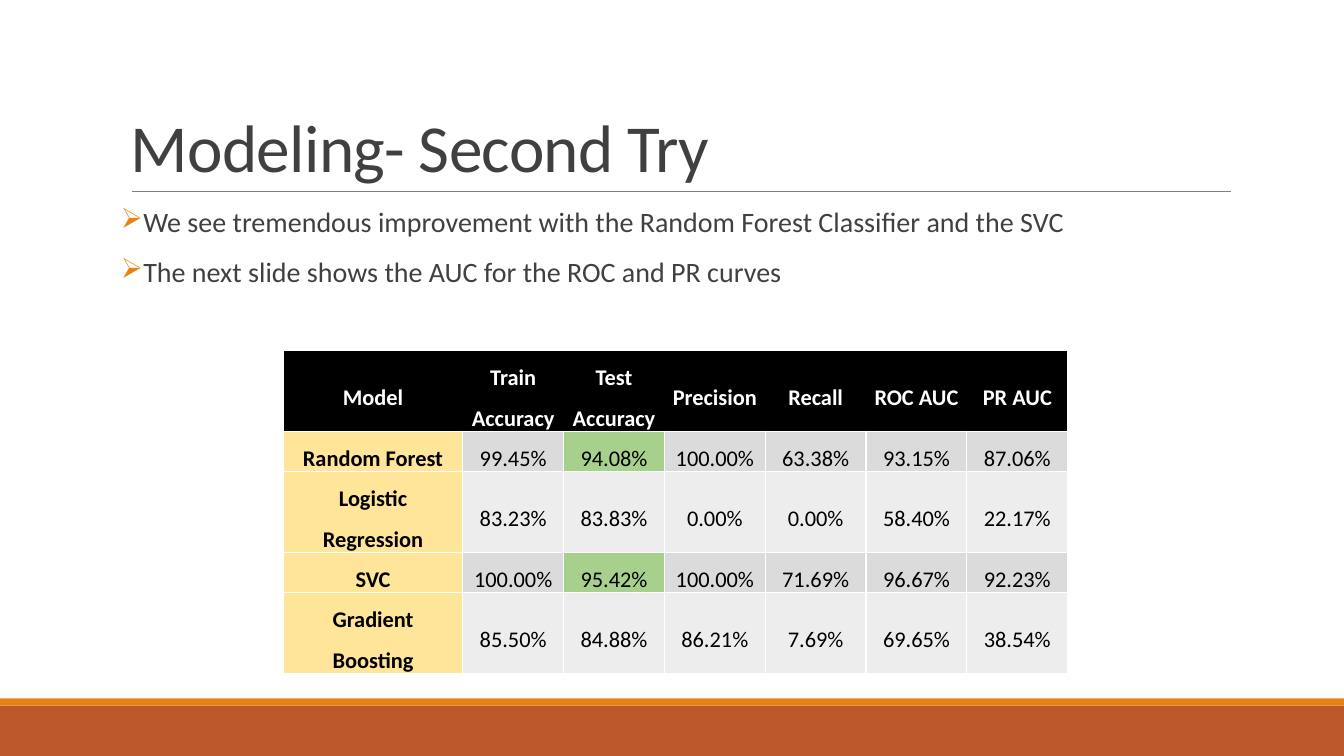
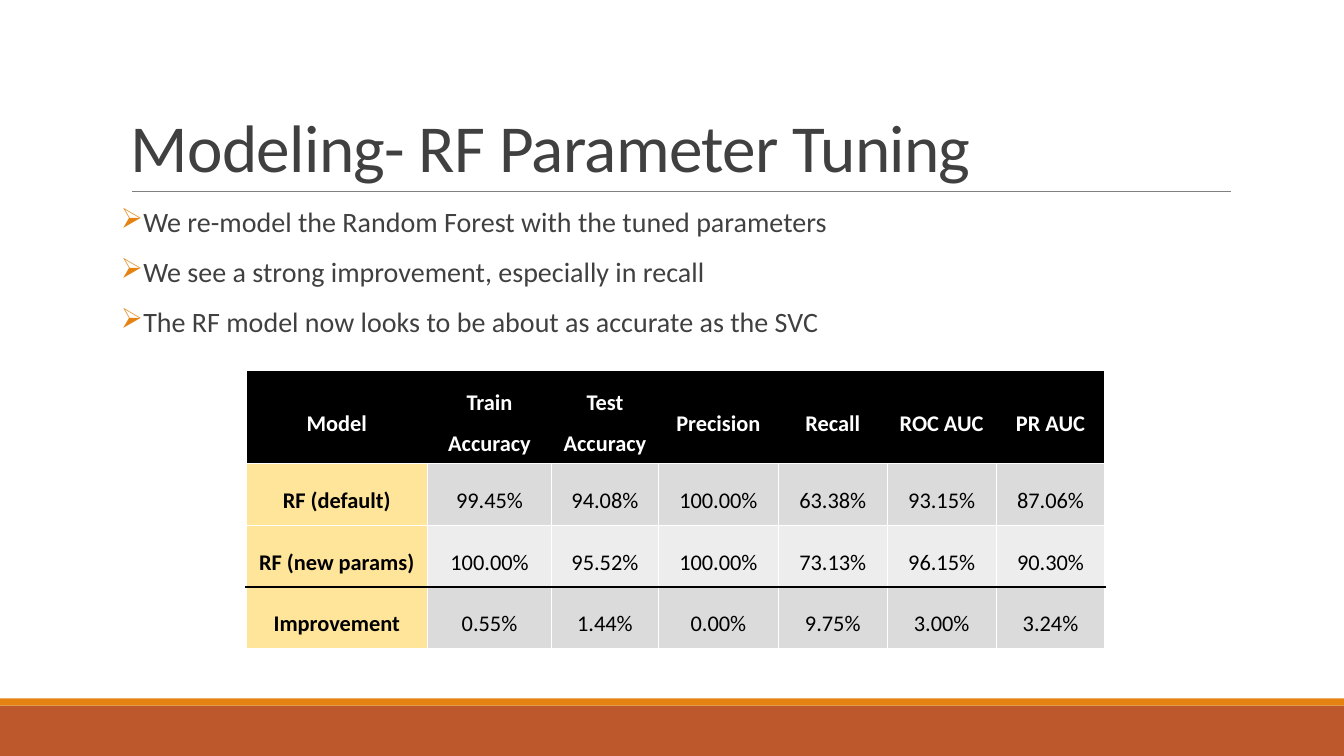
from lxml.etree import SubElement
from pptx import Presentation
from pptx.dml.color import RGBColor
from pptx.enum.shapes import MSO_CONNECTOR, MSO_SHAPE
from pptx.enum.text import MSO_ANCHOR, PP_ALIGN
from pptx.oxml.ns import qn
from pptx.util import Pt

PX = 9144
SLIDE_W, SLIDE_H = 1333, 750
FONT = "Calibri"
COLORS = {
    "text": "404040", "rule": "808080", "orange": "E48312", "rust": "BD582C",
    "black": "000000", "white": "FFFFFF", "label": "FFE599",
    "odd_row": "DBDBDB", "even_row": "EDEDED", "best": "A8D08D",
}
BANDS = [("rust", 700, 50), ("orange", 693, 7)]
TITLE_BOX = (120, 31, 1100, 159)
BODY_BOX = (120, 202, 1100, 440)
RULE = (131, 190, 1221, 190)
HEADER = ["Model", "Train Accuracy", "Test Accuracy", "Precision", "Recall", "ROC AUC", "PR AUC"]

SLIDES = [
    {
        "title": "Modeling- Second Try",
        "points": [
            "We see tremendous improvement with the Random Forest Classifier and the SVC",
            "The next slide shows the AUC for the ROC and PR curves",
        ],
        "scores": [
            ["Random Forest", "99.45%", "94.08%", "100.00%", "63.38%", "93.15%", "87.06%"],
            ["Logistic Regression", "83.23%", "83.83%", "0.00%", "0.00%", "58.40%", "22.17%"],
            ["SVC", "100.00%", "95.42%", "100.00%", "71.69%", "96.67%", "92.23%"],
            ["Gradient Boosting", "85.50%", "84.88%", "86.21%", "7.69%", "69.65%", "38.54%"],
        ],
        "corner": (281, 348),
        "widths": [178] + [100] * 6,
        "heights": [80, 37, 53, 37, 53],
        "best": {(1, 2), (3, 2)},
        "total_row": None,
    },
    {
        "title": "Modeling- RF Parameter Tuning",
        "points": [
            "We re-model the Random Forest with the tuned parameters",
            "We see a strong improvement, especially in recall",
            "The RF model now looks to be about as accurate as the SVC",
        ],
        "scores": [
            ["RF (default)", "99.45%", "94.08%", "100.00%", "63.38%", "93.15%", "87.06%"],
            ["RF (new params)", "100.00%", "95.52%", "100.00%", "73.13%", "96.15%", "90.30%"],
            ["Improvement", "0.55%", "1.44%", "0.00%", "9.75%", "3.00%", "3.24%"],
        ],
        "corner": (244, 367),
        "widths": [180, 123, 106, 119, 108, 108, 108],
        "heights": [93, 61, 61, 61],
        "best": set(),
        "total_row": 3,
    },
]


def emu(*lengths):
    return [length * PX for length in lengths]


def rgb(name):
    return RGBColor.from_string(COLORS[name])


def style(paragraph, size, color, spacing, bold=False):
    paragraph.line_spacing = spacing
    font = paragraph.runs[0].font
    font.name, font.size, font.bold = FONT, Pt(size), bold
    font.color.rgb = rgb(color)


def add_frame(slide, title):
    for color, top, height in BANDS:
        band = slide.shapes.add_shape(MSO_SHAPE.RECTANGLE, *emu(0, top, SLIDE_W, height))
        band.shadow.inherit = False
        band.fill.solid()
        band.fill.fore_color.rgb = rgb(color)
        band.line.fill.background()
    rule = slide.shapes.add_connector(MSO_CONNECTOR.STRAIGHT, *emu(*RULE))
    rule.line.color.rgb = rgb("rule")
    rule.line.width = Pt(0.5)
    SubElement(rule._element.spPr, qn("a:effectLst"))
    frame = slide.shapes.add_textbox(*emu(*TITLE_BOX)).text_frame
    frame.word_wrap = True
    frame.vertical_anchor = MSO_ANCHOR.BOTTOM
    frame.text = title
    style(frame.paragraphs[0], 48, "text", 0.85)
    frame.paragraphs[0].runs[0].font._element.set("spc", "-50")


def add_points(slide, points):
    frame = slide.shapes.add_textbox(*emu(*BODY_BOX)).text_frame
    frame.word_wrap = True
    frame.margin_left = frame.margin_right = 0
    for index, point in enumerate(points):
        paragraph = frame.add_paragraph() if index else frame.paragraphs[0]
        paragraph.text = point
        properties = paragraph._p.get_or_add_pPr()
        properties.set("marL", str(10 * PX))
        properties.set("indent", str(-10 * PX))
        bullet_color = SubElement(properties, qn("a:buClr"))
        SubElement(bullet_color, qn("a:srgbClr"), val=COLORS["orange"])
        SubElement(properties, qn("a:buChar"), char="➢")
        style(paragraph, 20, "text", 0.9)
        paragraph.space_before = Pt(12 if index else 0)
        paragraph.space_after = Pt(2)


def set_borders(cell, borders):
    properties = cell._tc.get_or_add_tcPr()
    for side in "LRTB":
        color, width = borders[side]
        line = SubElement(properties, qn(f"a:ln{side}"), w=str(Pt(width)))
        if color:
            fill = SubElement(line, qn("a:solidFill"))
            SubElement(fill, qn("a:srgbClr"), val=COLORS[color])
        else:
            SubElement(line, qn("a:noFill"))


def cell_borders(row, column, last_column, total_row):
    borders = dict.fromkeys("LRTB", ("white", 1))
    if row == 0 and column > 0:
        borders["L"] = (None, 1)
    if row == 0 and column < last_column:
        borders["R"] = (None, 1)
    if total_row:
        if row == total_row:
            borders["T"] = ("black", 1.5)
        if row == total_row - 1:
            borders["B"] = ("black", 1.5)
    return borders


def cell_fill(row, column, best):
    if row == 0:
        return "black"
    if column == 0:
        return "label"
    if (row, column) in best:
        return "best"
    return "odd_row" if row % 2 else "even_row"


def add_scores(slide, content):
    rows = [HEADER] + content["scores"]
    widths, heights = content["widths"], content["heights"]
    box = emu(*content["corner"], sum(widths), sum(heights))
    table = slide.shapes.add_table(len(rows), len(HEADER), *box).table
    table.horz_banding = False
    for column, width in zip(table.columns, widths):
        column.width = width * PX
    for row, height in zip(table.rows, heights):
        row.height = height * PX
    for r, values in enumerate(rows):
        for c, value in enumerate(values):
            cell = table.cell(r, c)
            set_borders(cell, cell_borders(r, c, len(HEADER) - 1, content["total_row"]))
            cell.fill.solid()
            cell.fill.fore_color.rgb = rgb(cell_fill(r, c, content["best"]))
            cell.vertical_anchor = MSO_ANCHOR.MIDDLE
            cell.margin_left = cell.margin_right = 7 * PX
            cell.margin_top = cell.margin_bottom = 0
            cell.text_frame.text = value
            paragraph = cell.text_frame.paragraphs[0]
            paragraph.alignment = PP_ALIGN.CENTER
            style(paragraph, 16, "black" if r else "white", 1.5, bold=r == 0 or c == 0)


def main():
    deck = Presentation()
    deck.slide_width, deck.slide_height = emu(SLIDE_W, SLIDE_H)
    for content in SLIDES:
        slide = deck.slides.add_slide(deck.slide_layouts[6])
        add_frame(slide, content["title"])
        add_points(slide, content["points"])
        add_scores(slide, content)
    deck.save("out.pptx")


if __name__ == "__main__":
    main()
